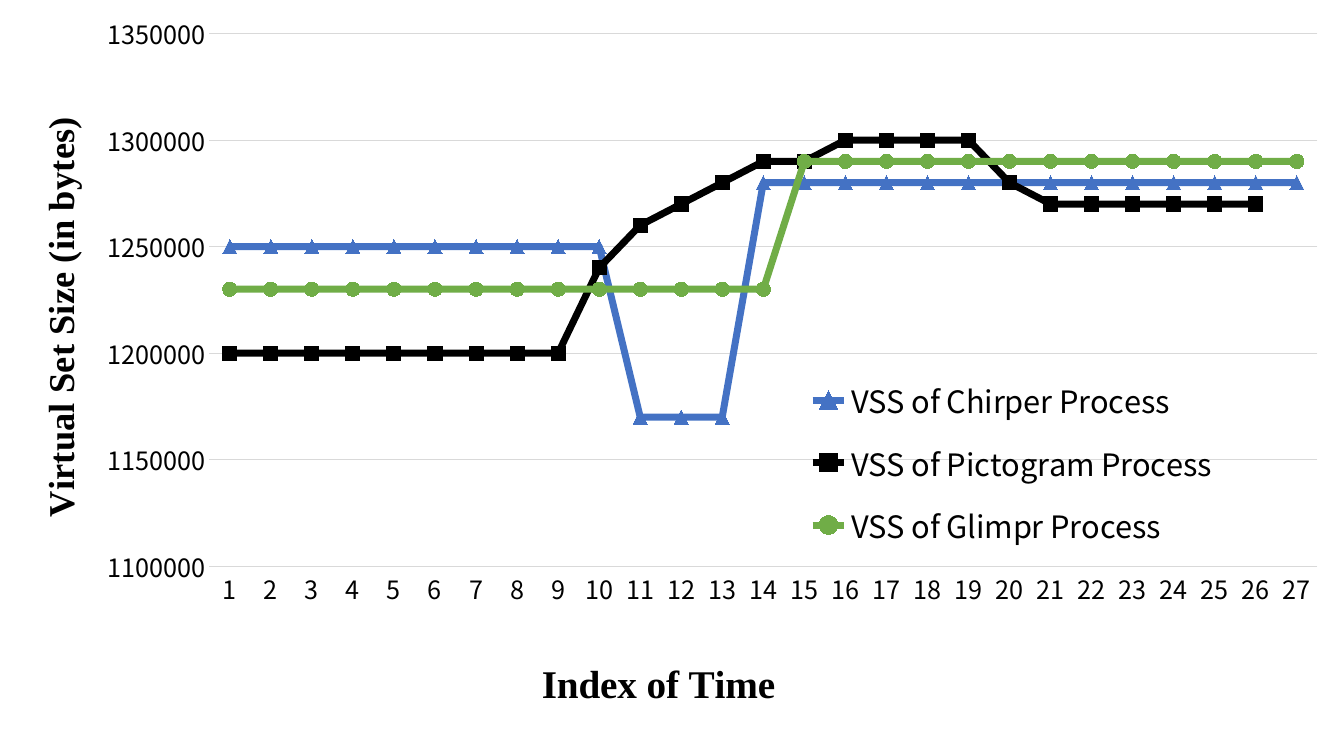
from dataclasses import dataclass

from lxml import etree
from pptx import Presentation
from pptx import util as u
from pptx.chart import data as cd
from pptx.dml.color import RGBColor
from pptx.enum import chart as ec
from pptx.oxml import ns

BLACK = RGBColor(0, 0, 0)
BLUE = RGBColor(0x44, 0x72, 0xC4)
GREEN = RGBColor(0x70, 0xAD, 0x47)
RED = RGBColor(0xFF, 0, 0)
GREY = RGBColor(0xD9, 0xD9, 0xD9)
SANS, SERIF = "Noto Sans CJK SC", "Times New Roman"
WIDE, HIGH = 960, 540
TIMES = range(1, 28)
MARK = ec.XL_MARKER_STYLE


@dataclass
class Trace:
    name: str
    vals: list  # thousands of bytes
    color: RGBColor
    mark: MARK
    hot: list  # times marked in red


TRACES = [
    Trace("VSS of Chirper Process",
          [1250] * 10 + [1170] * 3 + [1280] * 14,
          BLUE, MARK.TRIANGLE, [11, 12, 13, 14]),
    Trace("VSS of Pictogram Process",
          [1200] * 9 + [1240, 1260, 1270, 1280, 1290, 1290]
          + [1300] * 4 + [1280] + [1270] * 6,
          BLACK, MARK.SQUARE, list(range(10, 22))),
    Trace("VSS of Glimpr Process",
          [1230] * 14 + [1290] * 13,
          GREEN, MARK.CIRCLE, [11, 15]),
]


def style(font, size: int, name: str = SANS, bold: bool = False) -> None:
    font.size, font.name, font.bold = u.Pt(size), name, bold
    font.color.rgb = BLACK


def rule(line, color: RGBColor, width: float) -> None:
    line.color.rgb = color
    line.width = u.Pt(width)


def place(node, after: str, left: float, top: float,
          width: float = 0, height: float = 0, inner: bool = False) -> None:
    """Fix a chart part at a place given in points on the slide."""
    for old in node.findall(ns.qn("c:layout")):
        node.remove(old)
    box = etree.Element(ns.qn("c:layout"))
    man = etree.SubElement(box, ns.qn("c:manualLayout"))
    items = [("layoutTarget", "inner")] if inner else []
    items += [("xMode", "edge"), ("yMode", "edge"),
              ("x", left / WIDE), ("y", top / HIGH)]
    if width:
        items += [("w", width / WIDE), ("h", height / HIGH)]
    for tag, val in items:
        etree.SubElement(man, ns.qn("c:" + tag)).set("val", str(val))
    prior = node.find(ns.qn(after)) if after else None
    if prior is None:
        node.insert(0, box)
    else:
        prior.addnext(box)


def label(axis, words: str, size: int, left: float, top: float) -> None:
    title = axis.axis_title
    para = title.text_frame.paragraphs[0]
    para.text = words
    style(para.runs[0].font, size, SERIF, True)
    place(title._element, "c:tx", left, top)


def paint(mark, kind: MARK, color: RGBColor) -> None:
    mark.style, mark.size = kind, 10
    mark.format.fill.solid()
    mark.format.fill.fore_color.rgb = color
    rule(mark.format.line, color, 0.75)


deck = Presentation()
deck.slide_width, deck.slide_height = u.Pt(WIDE), u.Pt(HIGH)
slide = deck.slides.add_slide(deck.slide_layouts[6])

# Data
data = cd.CategoryChartData()
data.categories = [str(t) for t in TIMES]
for trace in TRACES:
    vals = [v * 1000 for v in trace.vals]
    data.add_series(trace.name, vals + [None] * (len(TIMES) - len(vals)))
chart = slide.shapes.add_chart(
    ec.XL_CHART_TYPE.LINE_MARKERS, 0, 0, u.Pt(WIDE), u.Pt(HIGH), data).chart
style(chart.font, 10)
chart.has_title = False
plot = chart.plots[0]
plot.vary_by_categories = False
place(chart._chartSpace.chart.plotArea, "", 149.5, 24, 791.5, 380.5, True)

# Lines and markers
for trace, line in zip(TRACES, plot.series):
    line.smooth = False
    rule(line.format.line, trace.color, 5)
    paint(line.marker, trace.mark, trace.color)
    for time in trace.hot:
        paint(line.points[time - 1].marker, trace.mark, RED)

# Axes
time, size = chart.category_axis, chart.value_axis
for axis in (time, size):
    axis.major_tick_mark = axis.minor_tick_mark = ec.XL_TICK_MARK.NONE
    style(axis.tick_labels.font, 18)
rule(time.format.line, GREY, 0.75)
size.format.line.fill.background()
size.minimum_scale, size.maximum_scale = 1100000, 1350000
size.major_unit = 50000
size.tick_labels.number_format = "General"
size.tick_labels.number_format_is_linked = False
rule(size.major_gridlines.format.line, GREY, 0.75)
label(time, "Index of Time", 28, 382, 466)
label(size, "Virtual Set Size (in bytes)", 26, 22, 79)

# Legend
chart.has_legend = True
key = chart.legend
key.position = ec.XL_LEGEND_POSITION.BOTTOM
key.include_in_layout = False
style(key.font, 22)
place(key._element, "c:legendPos", 573, 257, 300, 147)

deck.save("out.pptx")
